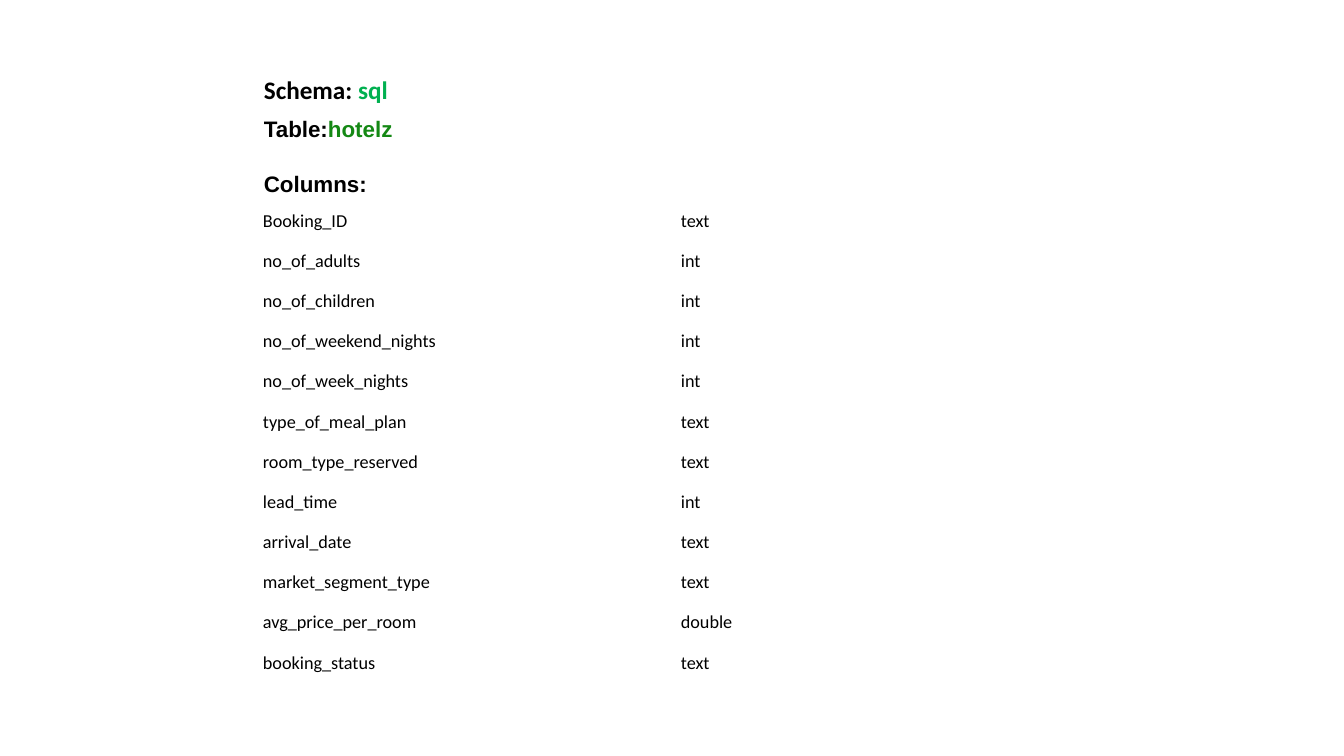
from dataclasses import dataclass

import pptx
import pptx.dml.color
import pptx.enum.text
import pptx.oxml.ns
import pptx.util

EMU_PER_PX = 914400 / 100.8
COLORS = {"text": "000000", "schema": "00B050", "table": "148814"}
NO_STYLE_NO_GRID = "{2D5ABB26-0587-4C30-8999-92F81FD0307C}"


@dataclass
class Run:
    text: str
    color: str = "text"


@dataclass
class Heading:
    left: int
    top: int
    width: int
    height: int
    font: str
    size: int
    lines: list[list[Run]]
    wrap: bool
    anchor: pptx.enum.text.MSO_ANCHOR
    gap: int = 0  # points between paragraphs


@dataclass
class Column:
    name: str
    type: str


HEADINGS = [
    Heading(254, 110, 150, 92, "Arial", 16,
            [[Run("Table:"), Run("hotelz", "table")], [Run("Columns:")]],
            False, pptx.enum.text.MSO_ANCHOR.MIDDLE, 20),
    Heading(254, 69, 672, 40, "Calibri", 18,
            [[Run("Schema: "), Run("sql", "schema")]],
            True, pptx.enum.text.MSO_ANCHOR.TOP),
]

COLUMNS = [
    Column("Booking_ID", "text"),
    Column("no_of_adults", "int"),
    Column("no_of_children", "int"),
    Column("no_of_weekend_nights", "int"),
    Column("no_of_week_nights", "int"),
    Column("type_of_meal_plan", "text"),
    Column("room_type_reserved", "text"),
    Column("lead_time", "int"),
    Column("arrival_date", "text"),
    Column("market_segment_type", "text"),
    Column("avg_price_per_room", "double"),
    Column("booking_status", "text"),
]


def px(n: int) -> pptx.util.Emu:
    return pptx.util.Emu(round(n * EMU_PER_PX))


def add_run(p, run: Run, font: str, size: int, bold: bool) -> None:
    r = p.add_run()
    r.text = run.text
    r.font.name = font
    r.font.size = pptx.util.Pt(size)
    r.font.bold = bold
    r.font.color.rgb = pptx.dml.color.RGBColor.from_string(COLORS[run.color])


def add_heading(s, h: Heading) -> None:
    sp = s.shapes.add_textbox(px(h.left), px(h.top), px(h.width), px(h.height))
    tf = sp.text_frame
    tf.word_wrap = h.wrap
    tf.auto_size = pptx.enum.text.MSO_AUTO_SIZE.SHAPE_TO_FIT_TEXT
    tf.vertical_anchor = h.anchor
    for i, line in enumerate(h.lines):
        p = tf.add_paragraph() if i else tf.paragraphs[0]
        if i:
            p.space_before = pptx.util.Pt(h.gap)
        for run in line:
            add_run(p, run, h.font, h.size, True)


def add_column_table(s, columns: list[Column]) -> None:
    left, top, col_width, row_height, margin = 254, 201, 418, 40, 9
    table = s.shapes.add_table(len(columns), 2, px(left), px(top), px(2 * col_width),
                               px(row_height * len(columns))).table
    table.first_row = table.horz_banding = False
    style = table._tbl.tblPr.find(pptx.oxml.ns.qn("a:tableStyleId"))
    style.text = NO_STYLE_NO_GRID
    for row, column in zip(table.rows, columns):
        row.height = px(row_height)
        for cell, text in zip(row.cells, (column.name, column.type)):
            cell.fill.background()
            cell.vertical_anchor = pptx.enum.text.MSO_ANCHOR.MIDDLE
            cell.margin_left = cell.margin_right = px(margin)
            cell.margin_top = cell.margin_bottom = px(margin)
            add_run(cell.text_frame.paragraphs[0], Run(text), "Calibri", 13, False)


def main() -> None:
    prs = pptx.Presentation()
    prs.slide_width, prs.slide_height = px(1344), px(756)
    s = prs.slides.add_slide(prs.slide_layouts[6])
    # Column names and types
    add_column_table(s, COLUMNS)
    # Schema and table headings
    for h in HEADINGS:
        add_heading(s, h)
    prs.save("out.pptx")


if __name__ == "__main__":
    main()
